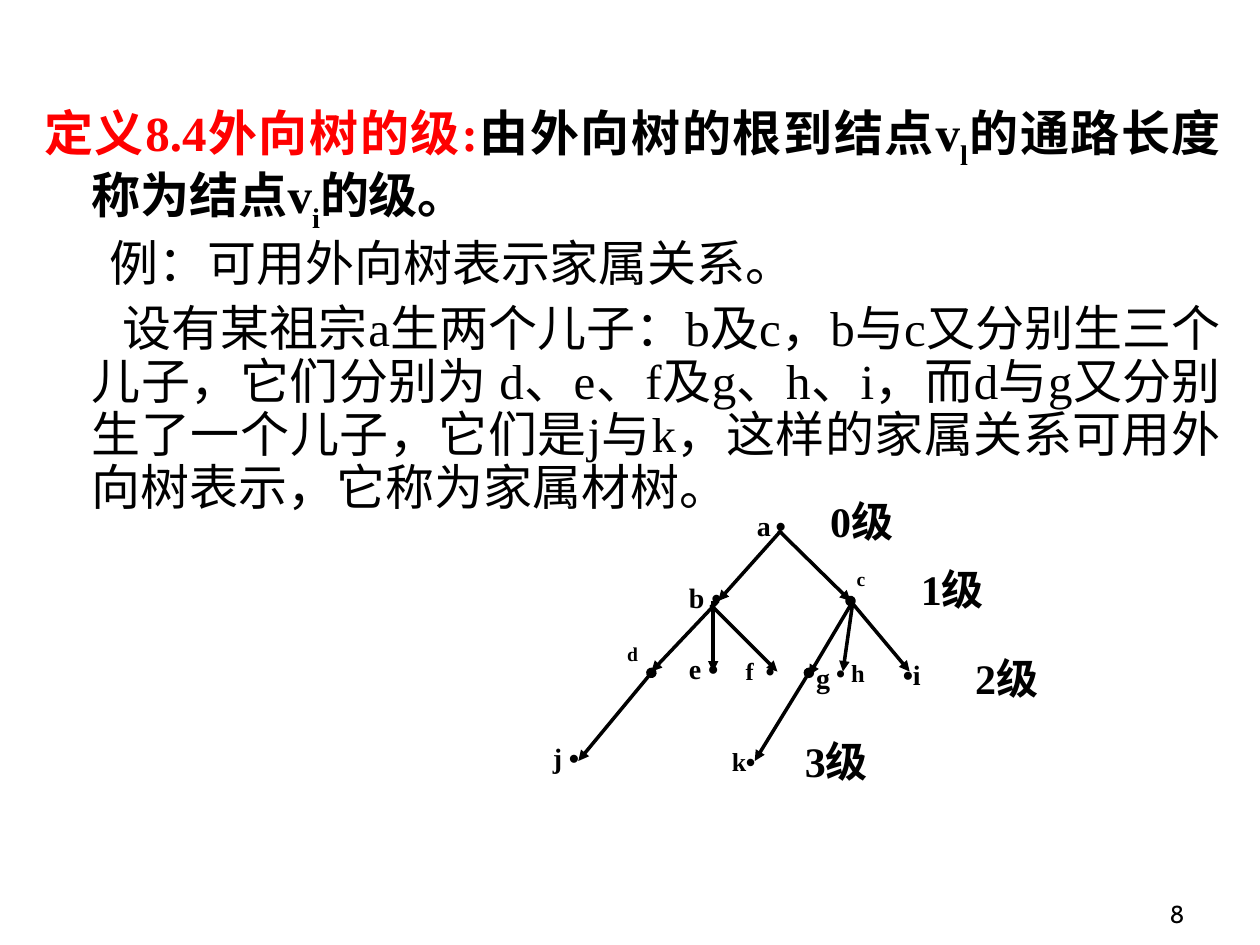
import pptx
import pptx.util
import pptx.dml.color
import pptx.enum.shapes
import pptx.enum.text
import pptx.oxml.ns
from lxml import etree

Inches = pptx.util.Inches
Pt = pptx.util.Pt
ALIGN = pptx.enum.text.PP_ALIGN
ANCHOR = pptx.enum.text.MSO_ANCHOR
AUTO_SIZE = pptx.enum.text.MSO_AUTO_SIZE
qn = pptx.oxml.ns.qn

COLORS = {"text": "000000", "term": "FF0000"}
SERIF, DOT_FONT, NUMBER_FONT = "Times New Roman", "Arial", "Cabin"
DOT = "•"


class SlideBuilder:
    def __init__(self, slide):
        self.slide = slide

    def run(self, paragraph, text, size, bold=True, font=SERIF, color="text", baseline=0):
        run = paragraph.add_run()
        run.text = text
        run.font.name = font
        run.font.size = Pt(size)
        run.font.bold = bold
        run.font.color.rgb = pptx.dml.color.RGBColor.from_string(COLORS[color])
        if baseline:
            run.font._element.set("baseline", str(baseline * 1000))

    def body(self, left, top, width, height, paragraphs):
        """Fill the body placeholder; each paragraph is (first-line indent, runs)."""
        body = self.slide.placeholders[1]
        body.left, body.top = Inches(left), Inches(top)
        body.width, body.height = Inches(width), Inches(height)
        frame = body.text_frame
        frame.auto_size = AUTO_SIZE.NONE
        frame.vertical_anchor = ANCHOR.TOP
        for index, (indent, runs) in enumerate(paragraphs):
            paragraph = frame.add_paragraph() if index else frame.paragraphs[0]
            paragraph.alignment = ALIGN.JUSTIFY
            paragraph.line_spacing = 0.9
            paragraph.space_before = Pt(7 if index else 0)
            properties = paragraph._p.get_or_add_pPr()
            properties.set("marL", str(Inches(0.38)))
            properties.set("indent", str(Inches(indent)))
            etree.SubElement(properties, qn("a:buNone"))
            for text, style in runs:
                self.run(paragraph, text, 28, **style)

    def text_box(self, left, top, width, height, wrap=True, align=ALIGN.LEFT):
        box = self.slide.shapes.add_textbox(
            Inches(left), Inches(top), Inches(width), Inches(height))
        frame = box.text_frame
        frame.word_wrap = wrap
        frame.auto_size = AUTO_SIZE.NONE if wrap else AUTO_SIZE.SHAPE_TO_FIT_TEXT
        frame.paragraphs[0].alignment = align
        return frame

    def node_label(self, left, top, size, parts, spacing=1.0, tab=None):
        frame = self.text_box(left, top, 0.7, 0.49)
        paragraph = frame.paragraphs[0]
        paragraph.line_spacing = spacing
        if tab:
            tabs = etree.SubElement(paragraph._p.get_or_add_pPr(), qn("a:tabLst"))
            etree.SubElement(tabs, qn("a:tab"), pos=str(Inches(tab)), algn="l")
        for part in parts:
            self.run(paragraph, part, size, font=DOT_FONT if part == DOT else SERIF)

    def level_label(self, left, top, level):
        frame = self.text_box(left, top, 0.78, 0.5, wrap=False)
        self.run(frame.paragraphs[0], f"{level}级", 24)

    def page_number(self, number):
        frame = self.text_box(7.42, 6.92, 2.08, 0.5, align=ALIGN.RIGHT)
        frame.vertical_anchor = ANCHOR.BOTTOM
        self.run(frame.paragraphs[0], number, 14, bold=False, font=NUMBER_FONT)

    def edge(self, start, end, dotted_start=False):
        points = [Inches(value) for value in (*start, *end)]
        edge = self.slide.shapes.add_connector(
            pptx.enum.shapes.MSO_CONNECTOR.STRAIGHT, *points)
        edge.line.width = Pt(2)
        edge.line.color.rgb = pptx.dml.color.RGBColor.from_string(COLORS["text"])
        line = edge.line._get_or_add_ln()
        if dotted_start:
            etree.SubElement(line, qn("a:headEnd"), type="oval")
        etree.SubElement(line, qn("a:tailEnd"), type="triangle")
        etree.SubElement(edge._element.spPr, qn("a:effectLst"))


def main():
    deck = pptx.Presentation()
    deck.slide_width, deck.slide_height = Inches(10), Inches(7.5)
    slide = deck.slides.add_slide(deck.slide_layouts[1])
    title = slide.shapes.title._element
    title.getparent().remove(title)
    builder = SlideBuilder(slide)
    builder.page_number("8")

    # Definition and example
    subscript, plain = {"baseline": -30}, {"bold": False}
    builder.body(0.25, 0.76, 9.54, 5.95, [
        (-0.38, [("定义8.4外向树的级:", {"color": "term"}),
                 ("由外向树的根到结点v", {}), ("l", subscript),
                 ("的通路长度称为结点v", {}), ("i", subscript), ("的级。", {})]),
        (0.14, [("例：可用外向树表示家属关系。", plain)]),
        (0.24, [("设有某祖宗a生两个儿子：b及c，b与c又分别生三个儿子，"
                 "它们分别为 d、e、f及g、h、i，而d与g又分别生了一个儿子，"
                 "它们是j与k，这样的家属关系可用外向树表示，它称为家属材树。", plain)]),
    ])

    # Edges of the family tree: parent end, child end, dot at the parent
    edges = [
        ((6.2, 4.21), (5.7, 4.77), False),    # a-b
        ((6.18, 4.21), (6.75, 4.77), False),  # a-c
        ((5.7, 4.77), (5.17, 5.33), False),   # b-d
        ((5.17, 5.34), (4.59, 6.04), True),   # d-j
        ((5.66, 4.77), (5.66, 5.33), False),  # b-e
        ((5.64, 4.8), (6.17, 5.33), False),   # b-f
        ((6.75, 4.77), (7.22, 5.33), True),   # c-i
        ((6.77, 4.77), (6.42, 5.36), False),  # c-g
        ((6.77, 4.77), (6.69, 5.33), False),  # c-h
        ((6.42, 5.34), (5.99, 6.04), True),   # g-k
    ]
    for edge in edges:
        builder.edge(*edge)

    # Node labels
    builder.node_label(5.91, 3.99, 16, ["a\t", DOT], tab=0.15)
    builder.node_label(5.37, 4.56, 16, ["b ", DOT])
    builder.node_label(6.7, 4.49, 11.2, ["c"], spacing=0.8)
    builder.node_label(4.88, 5.08, 11.2, ["d"], spacing=0.8)
    builder.node_label(5.37, 5.12, 16, ["e ", DOT])
    builder.node_label(5.82, 5.16, 14, ["f\t", DOT], tab=0.16)
    builder.node_label(6.38, 5.19, 16, ["g"])
    builder.node_label(6.54, 5.17, 14, [DOT, " h"])
    builder.node_label(7.07, 5.17, 16, [DOT, "i"])
    builder.node_label(4.29, 5.83, 16, ["j ", DOT])
    builder.node_label(5.71, 5.9, 14.8, ["k", DOT], spacing=0.9)

    # Level labels
    level_places = [(6.49, 3.88), (7.21, 4.42), (7.64, 5.13), (6.29, 5.79)]
    for level, (left, top) in enumerate(level_places):
        builder.level_label(left, top, level)

    deck.save("out.pptx")


if __name__ == "__main__":
    main()
